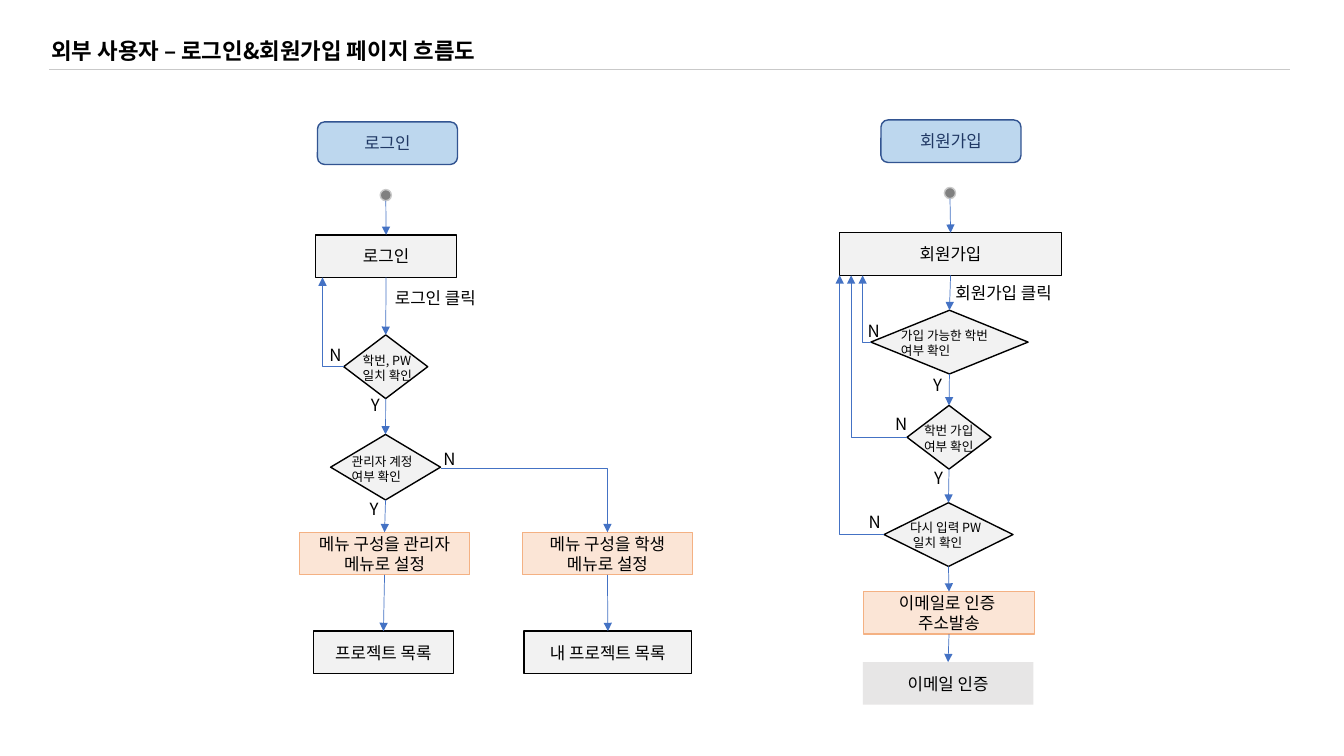
import pptx
import pptx.util
from pptx.dml.color import RGBColor
from pptx.enum.shapes import MSO_CONNECTOR, MSO_SHAPE
from pptx.enum.text import MSO_ANCHOR, MSO_AUTO_SIZE, PP_ALIGN
from pptx.oxml.ns import qn

Pt = pptx.util.Pt

# ---- Content: positions in points ----
TITLE = ("외부 사용자 – 로그인&회원가입 페이지 흐름도", 29.5, 23, 355.7, 26.6)
RULE = (35.3, 49.7, 921.6, 49.7)

# name: (kind, lines, centre x, top, width, height)
NODES = {
    "login_head": ("head", ["로그인"], 276.8, 87.1, 100, 30.4),
    "login_start": ("start", [], 275.6, 135.4, 8, 8),
    "login": ("page", ["로그인"], 275.8, 167.8, 100.8, 30.4),
    "match": ("check", [], 275.5, 239.2, 60, 45.5),
    "admin": ("check", [], 275.4, 310.3, 78.5, 46.8),
    "admin_menu": ("action", ["메뉴 구성을 관리자 메뉴로 설정"], 274.7, 380.2, 121.8, 30.4),
    "student_menu": ("action", ["메뉴 구성을 학생 메뉴로 설정"], 433.9, 380.2, 121.8, 30.4),
    "projects": ("page", ["프로젝트 목록"], 273.9, 450.8, 100, 30.4),
    "my_projects": ("page", ["내 프로젝트 목록"], 434.2, 450.8, 119.5, 30.4),
    "join_head": ("head", ["회원가입"], 679.3, 85.7, 100, 30.4),
    "join_start": ("start", [], 678.6, 133.9, 8, 8),
    "join": ("page", ["회원가입"], 679, 166.3, 158.4, 30.4),
    "allowed": ("check", [], 678.2, 221.6, 112.3, 45.5),
    "joined": ("check", [], 677.9, 289.6, 60, 45.5),
    "retype": ("check", [], 677.5, 359.1, 92.2, 45.5),
    "send_mail": ("action", ["이메일로 인증 ", "주소발송"], 677.9, 422.6, 121.8, 30.4),
    "verify": ("mail", ["이메일 인증"], 677.2, 473, 121.8, 30.4),
}

# Straight downward flow, one chain per branch
CHAINS = [
    ["login_start", "login", "match", "admin", "admin_menu", "projects"],
    ["student_menu", "my_projects"],
    ["join_start", "join", "allowed", "joined", "retype", "send_mail", "verify"],
]

# Failed check, page to return to, x of the lane
RETURNS = [("match", "login", 230.4)] + [
    (check, "join", 599.8 + 8.2 * lane)
    for lane, check in enumerate(["retype", "joined", "allowed"])]

# lines, left, top, width, height
CHECK_LABELS = [
    (["학번, PW", "일치 확인"], 252, 248.4, 54, 28.8),
    (["관리자 계정 ", "여부 확인"], 244.1, 320.4, 66.2, 28.8),
    (["가입 가능한 학번", "여부 확인"], 636.5, 230.4, 84.2, 28.8),
    (["학번 가입", "여부 확인"], 653, 298.8, 54, 28.8),
    (["다시 입력 PW", " 일치 확인"], 643, 367.9, 71.3, 28.8),
]
CLICK_LABELS = [
    (["로그인 클릭"], 275, 202.3, 79.2, 21.6),
    (["회원가입 클릭"], 675.4, 198.7, 91.4, 21.6),
]
ANSWERS = {
    "N": [(228.2, 242.6), (309.6, 316.8), (612.7, 225.4), (632.2, 292.3), (613.4, 362.2)],
    "Y": [(257.8, 278.6), (257, 352.8), (659.5, 264.2), (660.2, 330.5)],
}

# ---- Theme ----
THEME = {
    "font": "Noto Sans CJK KR",
    "title": 16, "text": 12, "small": 9,
    "ink": "000000", "rule": "C9C9C9", "arrow": "4472C4", "hairline": 0.5,
    # kind: (shape, fill, line, text colour)
    "head": (MSO_SHAPE.ROUNDED_RECTANGLE, "BDD7EE", "325491", "203864"),
    "start": (MSO_SHAPE.OVAL, "808080", "C9C9C9", "000000"),
    "page": (MSO_SHAPE.RECTANGLE, "F2F2F2", "000000", "000000"),
    "check": (MSO_SHAPE.FLOWCHART_DECISION, "F2F2F2", "000000", "000000"),
    "action": (MSO_SHAPE.RECTANGLE, "FBE5D6", "F4B183", "000000"),
    "mail": (MSO_SHAPE.RECTANGLE, "E7E6E6", None, "000000"),
}
TOP, BOTTOM = 0, 2


# ---- Helpers ----
def write(tf, lines, size, color, align=PP_ALIGN.LEFT, bold=False):
    for i, line in enumerate(lines):
        p = tf.paragraphs[0] if i == 0 else tf.add_paragraph()
        p.alignment = align
        r = p.add_run()
        r.text = line
        r.font.size = Pt(size)
        r.font.bold = bold
        r.font.name = THEME["font"]
        r.font.color.rgb = RGBColor.from_string(color)
        ea = r.font._element.makeelement(qn("a:ea"), {"typeface": THEME["font"]})
        r.font._element.find(qn("a:latin")).addnext(ea)


def add_node(s, kind, lines, cx, top, w, h):
    shape, fill, line, color = THEME[kind]
    sp = s.shapes.add_shape(shape, Pt(cx - w / 2), Pt(top), Pt(w), Pt(h))
    sp.shadow.inherit = False
    sp.fill.solid()
    sp.fill.fore_color.rgb = RGBColor.from_string(fill)
    if line:
        sp.line.color.rgb = RGBColor.from_string(line)
        sp.line.width = Pt(1)
    else:
        sp.line.fill.background()
    sp.text_frame.vertical_anchor = MSO_ANCHOR.MIDDLE
    write(sp.text_frame, lines, THEME["text"], color, PP_ALIGN.CENTER)
    return sp


def add_label(s, lines, left, top, w, h, size, wrap=False):
    tf = s.shapes.add_textbox(Pt(left), Pt(top), Pt(w), Pt(h)).text_frame
    tf.word_wrap = wrap
    tf.auto_size = MSO_AUTO_SIZE.SHAPE_TO_FIT_TEXT
    write(tf, lines, size, THEME["ink"])


def add_line(s, x1, y1, x2, y2, color, arrow=True, bent=False):
    kind = MSO_CONNECTOR.ELBOW if bent else MSO_CONNECTOR.STRAIGHT
    c = s.shapes.add_connector(kind, Pt(x1), Pt(y1), Pt(x2), Pt(y2))
    c.line.color.rgb = RGBColor.from_string(color)
    c.line.width = Pt(THEME["hairline"])
    pr = c._element.spPr
    if bent:
        pr.find(qn("a:prstGeom")).set("prst", "bentConnector2")
    if arrow:
        ln = pr.find(qn("a:ln"))
        ln.append(ln.makeelement(qn("a:tailEnd"), {"type": "triangle"}))
    pr.append(pr.makeelement(qn("a:effectLst"), {}))
    return c


# ---- Slide and title ----
prs = pptx.Presentation()
prs.slide_width, prs.slide_height = Pt(960), Pt(540)
s = prs.slides.add_slide(prs.slide_layouts[5])
add_line(s, *RULE, THEME["rule"], arrow=False)

title, *box = TITLE
sp = s.shapes.title
sp.left, sp.top, sp.width, sp.height = map(Pt, box)
tf = sp.text_frame
tf.word_wrap = False
tf.auto_size = MSO_AUTO_SIZE.SHAPE_TO_FIT_TEXT
tf.vertical_anchor = MSO_ANCHOR.TOP
write(tf, [title], THEME["title"], THEME["ink"], bold=True)

# ---- Nodes ----
shapes = {name: add_node(s, *node) for name, node in NODES.items()}

# ---- Downward arrows ----
for chain in CHAINS:
    for a, b in zip(chain, chain[1:]):
        kind, _, ax, a_top, _, a_h = NODES[a]
        c = add_line(s, ax, a_top + a_h, NODES[b][2], NODES[b][3], THEME["arrow"])
        if kind != "start":
            c.begin_connect(shapes[a], BOTTOM)
        c.end_connect(shapes[b], TOP)

# ---- Bent arrows: back to the page, and across to the student menu ----
for check, page, lane in RETURNS:
    _, _, cx, top, w, h = NODES[check]
    page_bottom = NODES[page][3] + NODES[page][5]
    add_line(s, cx - w / 2, top + h / 2, lane, page_bottom, THEME["arrow"], bent=True)

_, _, cx, top, w, h = NODES["admin"]
add_line(s, cx + w / 2, top + h / 2 + 1, *NODES["student_menu"][2:4],
         THEME["arrow"], bent=True)

# ---- Labels ----
for label in CHECK_LABELS:
    add_label(s, *label, THEME["small"])
for label in CLICK_LABELS:
    add_label(s, *label, THEME["text"])
for answer, places in ANSWERS.items():
    for left, top in places:
        add_label(s, [answer], left, top, 15.1, 21.6, THEME["text"], wrap=True)

prs.save("out.pptx")
